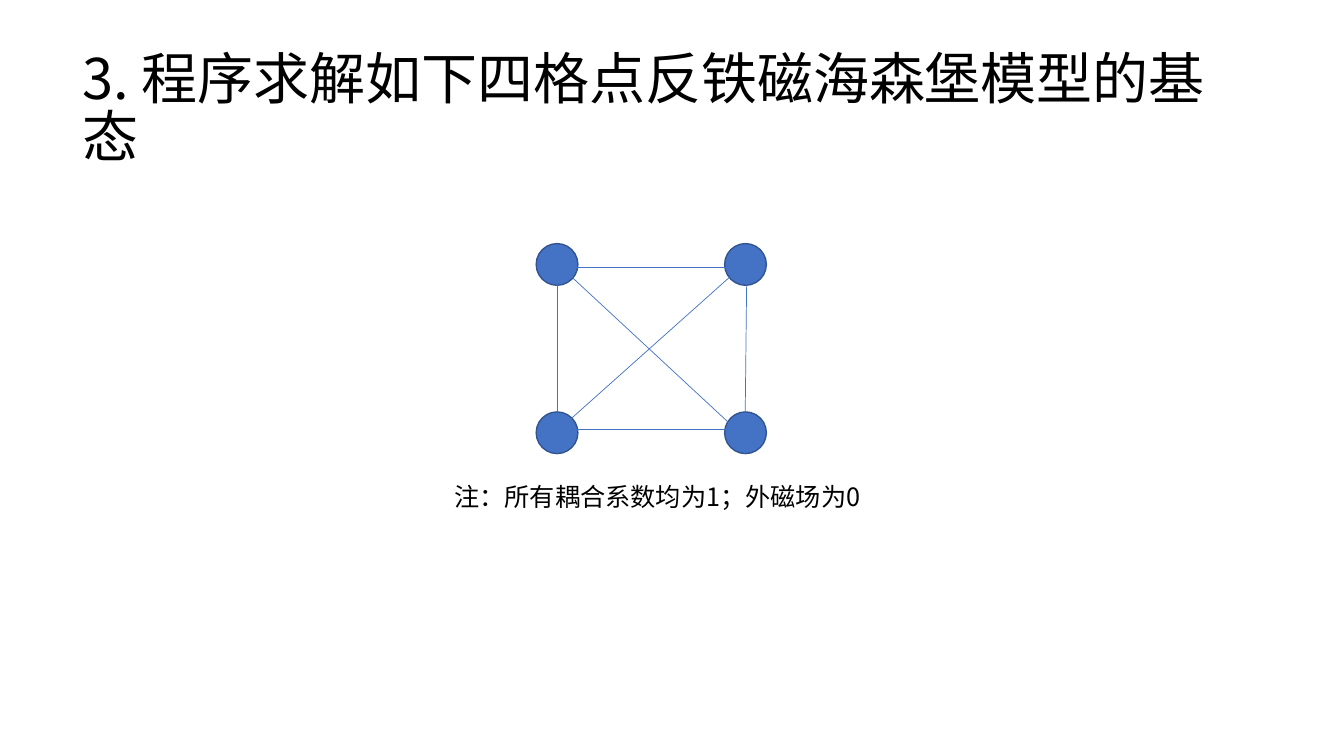
from itertools import product

from lxml.etree import SubElement
from pptx import Presentation
from pptx.dml.color import RGBColor
from pptx.enum.shapes import MSO_CONNECTOR, MSO_SHAPE
from pptx.enum.text import MSO_ANCHOR
from pptx.oxml.ns import qn
from pptx.util import Pt

COLORS = {"text": "000000", "node": "4472C4", "outline": "325491"}
FONT = "Noto Sans CJK SC"
NODE_SIZE = 29.8


def color(name):
    return RGBColor.from_string(COLORS[name])


def add_text(slide, box, text, size, line_height, anchor, top_inset, right_inset):
    text_box = slide.shapes.add_textbox(*map(Pt, box))
    frame = text_box.text_frame
    frame.word_wrap = True
    frame.vertical_anchor = anchor
    frame.margin_top, frame.margin_right = Pt(top_inset), Pt(right_inset)
    frame.text = text
    paragraph = frame.paragraphs[0]
    paragraph.line_spacing = Pt(line_height)
    font = paragraph.runs[0].font
    font.size, font.name = Pt(size), FONT
    font.color.rgb = color("text")
    east_asian = SubElement(paragraph.runs[0]._r.get_or_add_rPr(), qn("a:ea"))
    east_asian.set("typeface", FONT)


def add_title(slide, box):
    add_text(slide, box, "3. 程序求解如下四格点反铁磁海森堡模型的基态",
             40, 41.4, MSO_ANCHOR.MIDDLE, 12, 20)


def add_note(slide, box):
    add_text(slide, box, "注：所有耦合系数均为1；外磁场为0",
             18, 21.6, MSO_ANCHOR.TOP, 5, 7.2)


def add_lattice(slide, box):
    left, top, width, height = box

    # Four sites in the corners of the box
    for column, row in product((0, 1), repeat=2):
        site = slide.shapes.add_shape(
            MSO_SHAPE.OVAL,
            Pt(left + column * (width - NODE_SIZE)),
            Pt(top + row * (height - NODE_SIZE)),
            Pt(NODE_SIZE), Pt(NODE_SIZE))
        site.shadow.inherit = False
        site.fill.solid()
        site.fill.fore_color.rgb = color("node")
        site.line.color.rgb = color("outline")
        site.line.width = Pt(1)

    # Couplings between every pair of sites, as offsets within the box
    couplings = [
        (18, 17, 143, 133),    # falling diagonal
        (146, 17, 25, 125),    # rising diagonal
        (15, 17, 15, 120),     # left
        (18, 17, 156, 17),     # top
        (15, 133, 146, 133),   # bottom
        (150.5, 15, 149, 150), # right
    ]
    for start_x, start_y, end_x, end_y in couplings:
        coupling = slide.shapes.add_connector(
            MSO_CONNECTOR.STRAIGHT,
            Pt(left + start_x), Pt(top + start_y),
            Pt(left + end_x), Pt(top + end_y))
        coupling.line.color.rgb = color("node")
        coupling.line.width = Pt(0.5)
        SubElement(coupling._element.spPr, qn("a:effectLst"))


def main():
    presentation = Presentation()
    presentation.slide_width, presentation.slide_height = Pt(960), Pt(540)
    slide = presentation.slides.add_slide(presentation.slide_layouts[6])
    add_title(slide, (52, 22.5, 856, 104))
    add_lattice(slide, (383, 174, 164.4, 150))
    add_note(slide, (317.5, 339, 304.5, 29))
    presentation.save("out.pptx")


if __name__ == "__main__":
    main()
